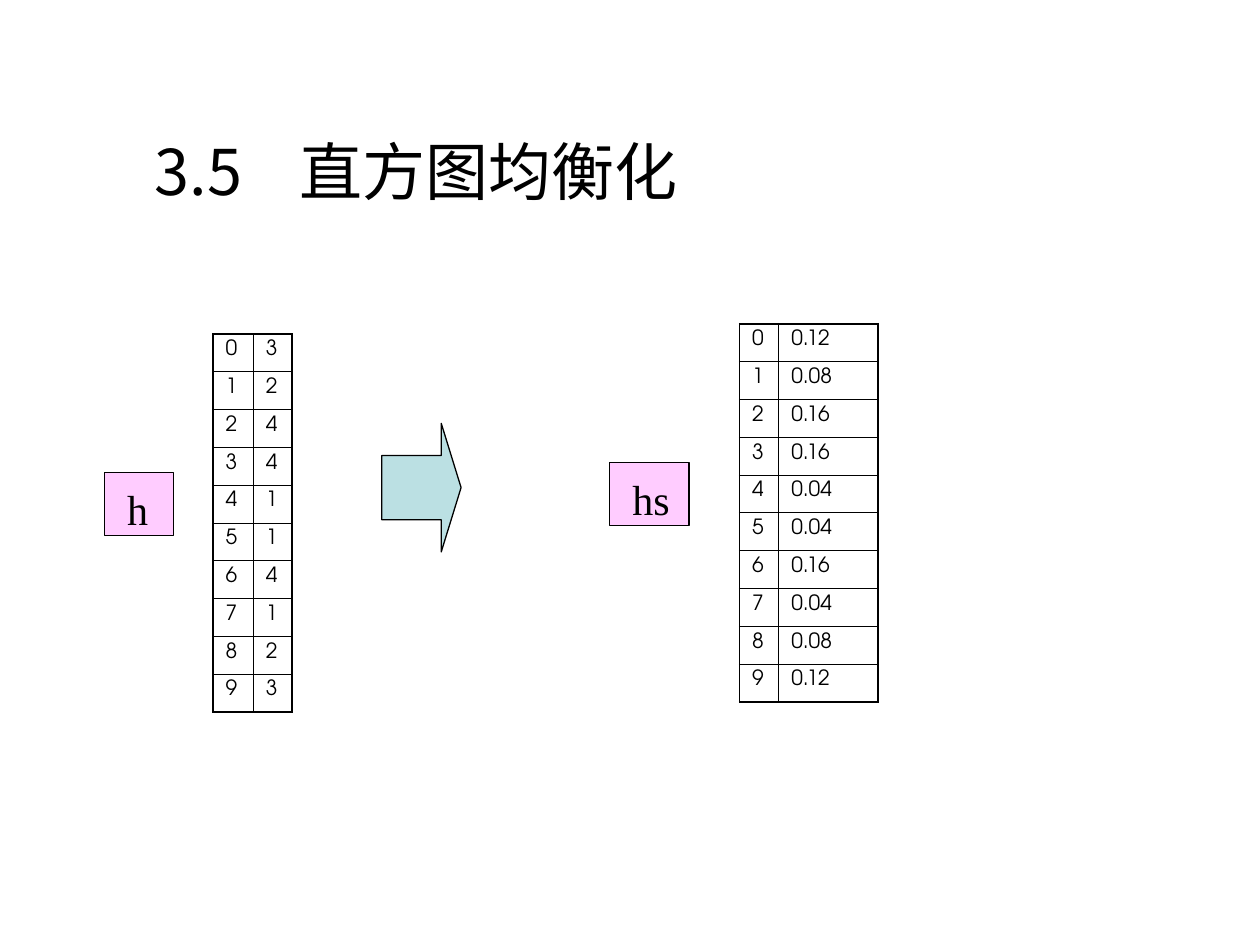
from pptx import Presentation
from pptx.dml.color import RGBColor
from pptx.enum.shapes import MSO_SHAPE
from pptx.enum.text import MSO_ANCHOR, MSO_AUTO_SIZE, PP_ALIGN
from pptx.oxml.ns import qn
from pptx.util import Inches, Pt
from lxml.etree import SubElement

color = RGBColor.from_string
deck = Presentation()
deck.slide_width, deck.slide_height = Inches(10), Inches(7.5)
page = deck.slides.add_slide(deck.slide_layouts[5])
column = deck.slide_width / 100


def grid(*counts):
    return [round(column * count) for count in counts]


def write(frame, text, size, font, left=1, top=0.5, bottom=0.5, anchor=MSO_ANCHOR.TOP):
    frame.word_wrap = True
    frame.auto_size = MSO_AUTO_SIZE.NONE
    frame.vertical_anchor = anchor
    frame.margin_left, frame.margin_top, frame.margin_bottom = grid(left, top, bottom)
    para = frame.paragraphs[0]
    para.alignment = PP_ALIGN.LEFT
    span = para.add_run()
    span.text = text
    span.font.size, span.font.name = Pt(size), font
    span.font.color.rgb = color("000000")
    SubElement(span.font._element, qn("a:ea"), typeface=font)
    return para


title = page.shapes.title
title.left, title.top, title.width, title.height = grid(9.8, 10.4, 56, 6.3)
heading = write(title.text_frame, "3.5\t直方图均衡化", 36, "Noto Sans CJK SC",
                left=2.5, anchor=MSO_ANCHOR.MIDDLE)
tabs = SubElement(heading._p.get_or_add_pPr(), qn("a:tabLst"))
SubElement(tabs, qn("a:tab"), pos=str(Inches(1.15)), algn="l")

counts = [3, 2, 4, 4, 1, 1, 4, 1, 2, 3]
shares = [f"{count / sum(counts):.2f}" for count in counts]
histograms = [
    ("h", (8.3, 37.5, 5.5, 5), (16.9, 26.5), (3.2, 3.1), counts),
    ("hs", (48.4, 36.7, 6.3, 5), (58.7, 25.7), (3.1, 7.9), shares),
]

for name, label_place, corner, widths, values in histograms:
    box = page.shapes.add_shape(MSO_SHAPE.RECTANGLE, *grid(*label_place))
    box.shadow.inherit = False
    box.fill.solid()
    box.fill.fore_color.rgb = color("FFCCFF")
    box.line.color.rgb, box.line.width = color("000000"), Pt(0.75)
    write(box.text_frame, name, 24, "Times New Roman", left=1.8, top=0.9, bottom=0.2)

    last = len(values) - 1
    table = page.shapes.add_table(
        len(values), 2, *grid(*corner, sum(widths), 3 * len(values))).table
    table.first_row = table.horz_banding = False
    for part, width in zip(table.columns, grid(*widths)):
        part.width = width
    for row, value in enumerate(values):
        for col, text in enumerate((row, value)):
            cell = table.cell(row, col)
            write(cell.text_frame, str(text), 12, "TeX Gyre Adventor")
            outer = {"L": col == 0, "R": col == 1, "T": row == 0, "B": row == last}
            for side, thick in outer.items():
                edge = SubElement(cell._tc.get_or_add_tcPr(), qn(f"a:ln{side}"),
                                  w=str(Pt(1.08 if thick else 0.45)))
                SubElement(SubElement(edge, qn("a:solidFill")), qn("a:srgbClr"), val="000000")
            cell.fill.background()

arrow = page.shapes.add_shape(MSO_SHAPE.RIGHT_ARROW, *grid(30.3, 33.6, 6.3, 10.2))
arrow.adjustments[0], arrow.adjustments[1] = 0.5, 0.25
arrow.shadow.inherit = False
arrow.fill.solid()
arrow.fill.fore_color.rgb = color("BBE0E3")
arrow.line.color.rgb, arrow.line.width = color("000000"), Pt(0.75)

deck.save("out.pptx")
